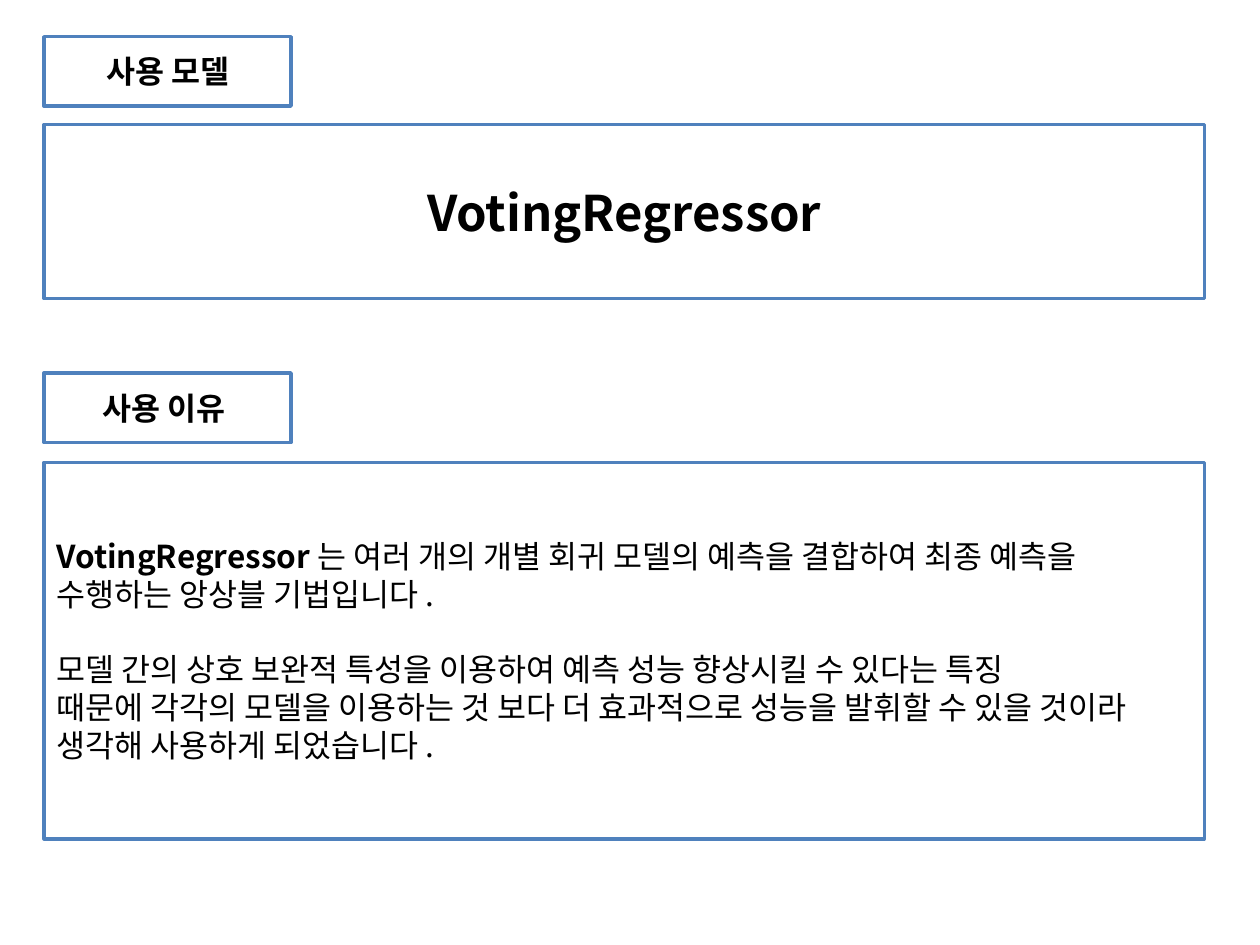
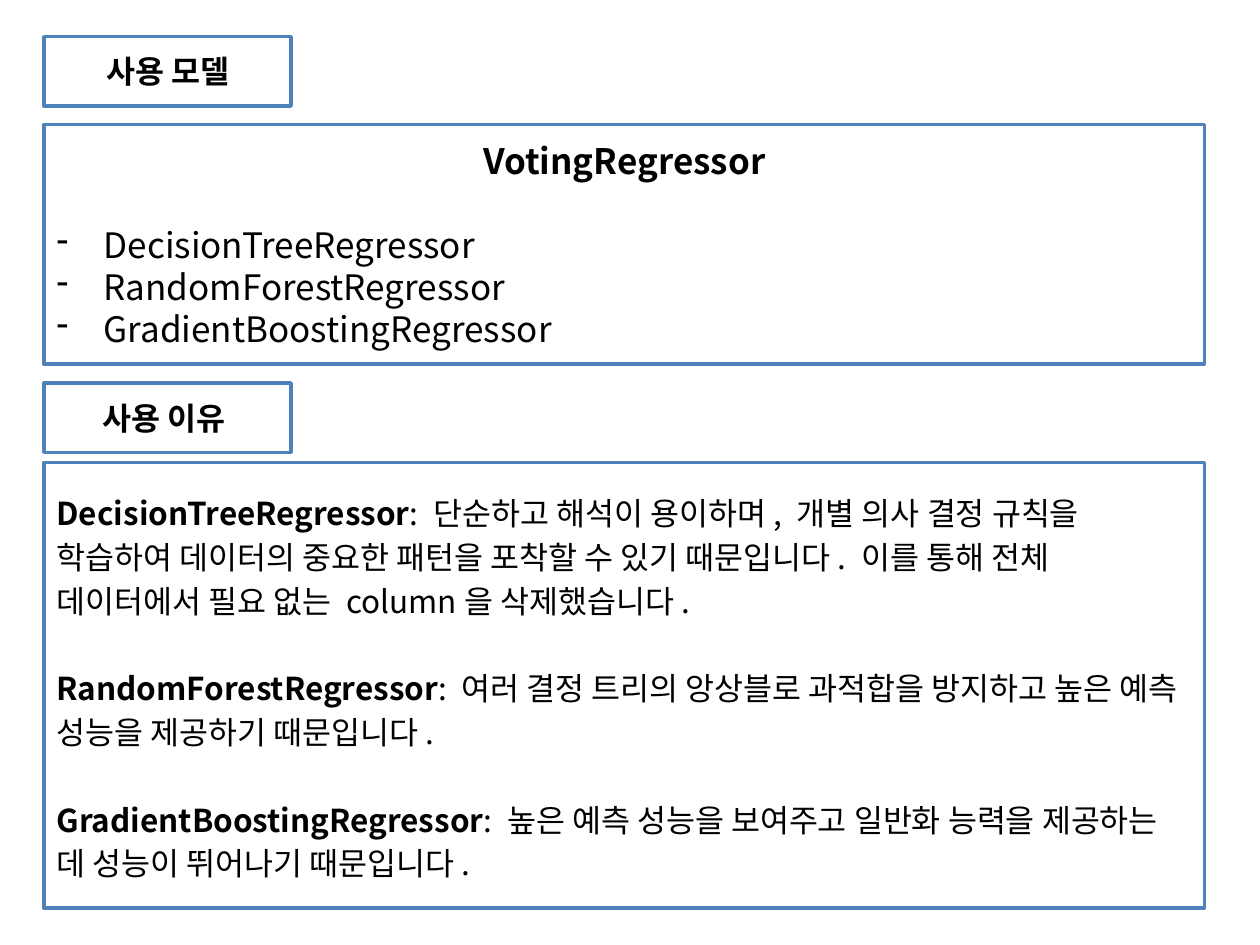
"""Build two slides presenting the chosen regression models and why they were used."""
import lxml.etree
import pptx
import pptx.dml.color
import pptx.enum.shapes
import pptx.enum.text
import pptx.oxml.ns
import pptx.util

Cm = pptx.util.Cm
Pt = pptx.util.Pt
qn = pptx.oxml.ns.qn
ALIGN = pptx.enum.text.PP_ALIGN

COLORS = {"panel": "FFFFFF", "border": "4F81BD", "text": "000000"}
FONT = "Noto Sans CJK KR"
LEFT, LABEL_WIDTH, PANEL_WIDTH = 0.89, 4.98, 23.39
LABEL_HEIGHT = 1.4
LABEL_TOP, MODEL_TOP, REASON_TOP = 0.74, 2.51, 9.32


def add_panel(slide, top, width, height):
    """Draw a bordered panel and return its text frame."""
    panel = slide.shapes.add_shape(
        pptx.enum.shapes.MSO_SHAPE.RECTANGLE, Cm(LEFT), Cm(top), Cm(width), Cm(height))
    panel.shadow.inherit = False
    panel.fill.solid()
    panel.fill.fore_color.rgb = pptx.dml.color.RGBColor.from_string(COLORS["panel"])
    panel.line.color.rgb = pptx.dml.color.RGBColor.from_string(COLORS["border"])
    panel.line.width = Pt(2)
    panel.text_frame.word_wrap = True
    panel.text_frame.vertical_anchor = pptx.enum.text.MSO_ANCHOR.MIDDLE
    return panel.text_frame


def write(frame, text, lead="", size=18, align=ALIGN.LEFT, after=0, spacing=None, dash=False):
    """Add one paragraph made of a bold lead followed by regular text."""
    first = frame.paragraphs[0]
    paragraph = frame.add_paragraph() if first.runs else first
    paragraph.alignment = align
    paragraph.space_after = Pt(after)
    if spacing:
        paragraph.line_spacing = Pt(spacing)
    if dash:
        properties = paragraph._p.get_or_add_pPr()
        properties.set("marL", str(Cm(0.95)))
        properties.set("indent", str(-Cm(0.95)))
        lxml.etree.SubElement(properties, qn("a:buChar")).set("char", "-")
    for content, bold in ((lead, True), (text, False)):
        if content:
            run = paragraph.add_run()
            run.text = content
            run.font.size = Pt(size)
            run.font.bold = bold
            run.font.name = FONT
            run.font.color.rgb = pptx.dml.color.RGBColor.from_string(COLORS["text"])
            east_asian = lxml.etree.SubElement(run._r.get_or_add_rPr(), qn("a:ea"))
            east_asian.set("typeface", FONT)


pages = [
    {
        "model_height": 3.51, "model_size": 28, "models": [],
        "reason_label_top": 7.52, "reason_height": 7.59, "spacing": None,
        "reasons": [
            ("VotingRegressor", "는 여러 개의 개별 회귀 모델의 예측을 결합하여 최종 예측을 수행하는 앙상블 기법입니다.", 21.5),
            ("", "모델 간의 상호 보완적 특성을 이용하여 예측 성능 향상시킬 수 있다는 특징", 0),
            ("", "때문에 각각의 모델을 이용하는 것 보다 더 효과적으로 성능을 발휘할 수 있을 것이라 생각해 사용하게 되었습니다.", 0),
        ],
    },
    {
        "model_height": 4.83, "model_size": 20,
        "models": ["DecisionTreeRegressor", "RandomForestRegressor", "GradientBoostingRegressor"],
        "reason_label_top": 7.72, "reason_height": 8.99, "spacing": 25,
        "reasons": [
            ("DecisionTreeRegressor", ": 단순하고 해석이 용이하며, 개별 의사 결정 규칙을 학습하여 데이터의 중요한 패턴을 포착할 수 있기 때문입니다. 이를 통해 전체 데이터에서 필요 없는 column을 삭제했습니다.", 25),
            ("RandomForestRegressor", ": 여러 결정 트리의 앙상블로 과적합을 방지하고 높은 예측 성능을 제공하기 때문입니다.", 25),
            ("GradientBoostingRegressor", ": 높은 예측 성능을 보여주고 일반화 능력을 제공하는 데 성능이 뛰어나기 때문입니다.", 0),
        ],
    },
]

deck = pptx.Presentation()
deck.slide_width, deck.slide_height = Cm(25.4), Cm(19.05)

for page in pages:
    slide = deck.slides.add_slide(deck.slide_layouts[6])

    for label, top in (("사용 모델", LABEL_TOP), ("사용 이유 ", page["reason_label_top"])):
        write(add_panel(slide, top, LABEL_WIDTH, LABEL_HEIGHT), "", lead=label, align=ALIGN.CENTER)

    model_panel = add_panel(slide, MODEL_TOP, PANEL_WIDTH, page["model_height"])
    write(model_panel, "", lead="VotingRegressor", size=page["model_size"],
          align=ALIGN.CENTER, after=24 if page["models"] else 0)
    for model in page["models"]:
        write(model_panel, model, size=page["model_size"], dash=True)

    reason_panel = add_panel(slide, REASON_TOP, PANEL_WIDTH, page["reason_height"])
    for lead, reason, after in page["reasons"]:
        write(reason_panel, reason, lead=lead, after=after, spacing=page["spacing"])

deck.save("out.pptx")
